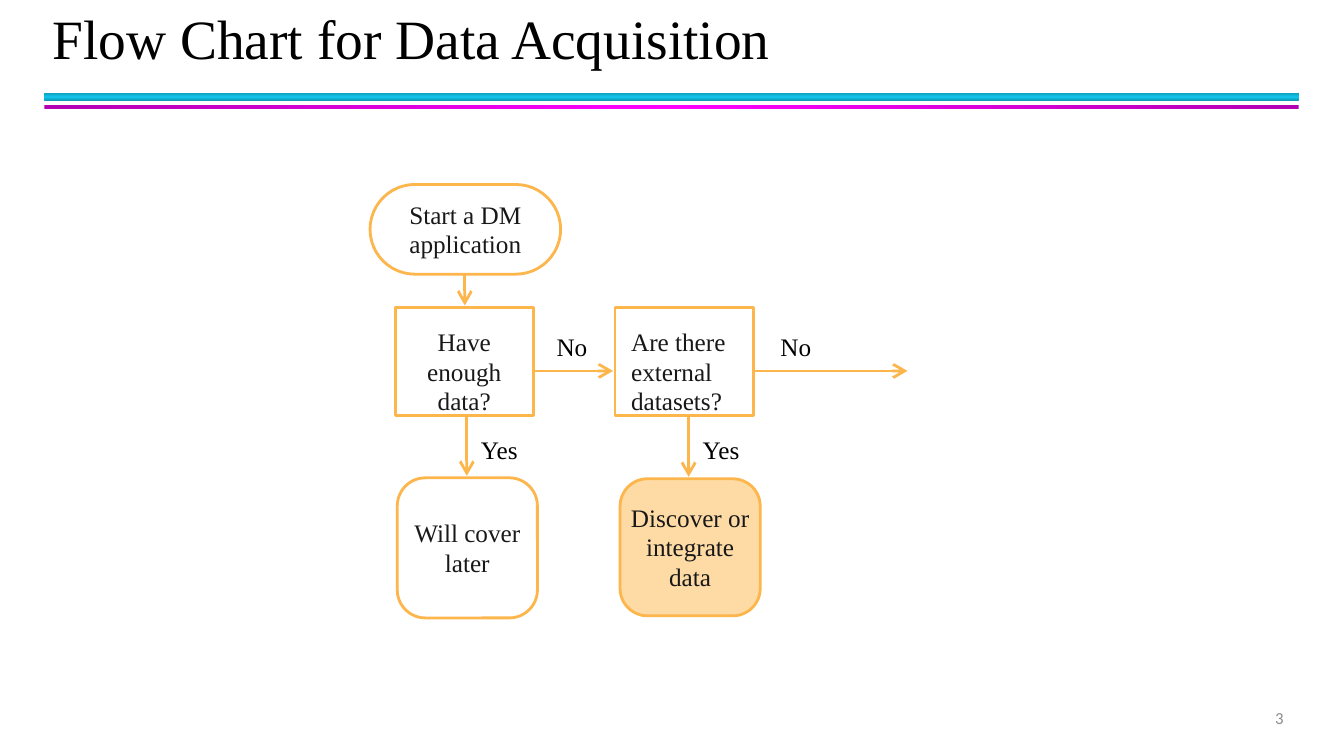
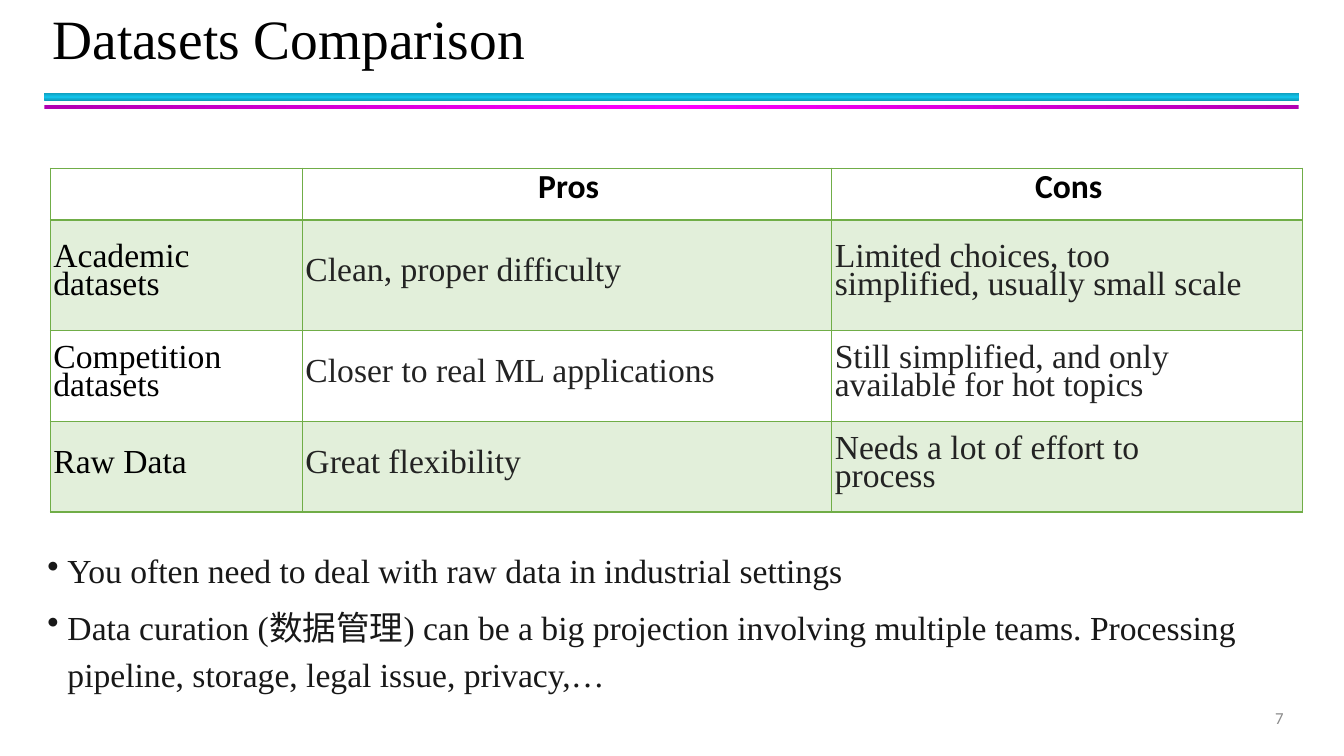
from copy import deepcopy

from lxml.etree import SubElement
from pptx import Presentation
from pptx.dml.color import RGBColor
from pptx.enum.shapes import MSO_CONNECTOR as Connector, MSO_SHAPE as Preset
from pptx.enum.text import MSO_ANCHOR as Anchor, PP_ALIGN as Align
from pptx.oxml.ns import qn
from pptx.util import Inches, Pt

COLORS = {
    "black": "000000",
    "ink": "181818",
    "cell_ink": "232323",
    "page_number": "8C8C8C",
    "orange": "FCB64C",
    "pale_orange": "FEDBA5",
    "green": "70AD47",
    "pale_green": "E2EFDA",
    "teal": "0E9BBA",
    "cyan": "12C2E9",
    "purple": "B200B2",
    "magenta": "FF00FF",
}
SERIF, SANS = "Times New Roman", "Calibri"
FLOW_LINE = Pt(21)


def rgb(name):
    return RGBColor.from_string(COLORS[name])


def write_text(frame, text, size=18, font=SERIF, color="ink", bold=False,
               align=Align.LEFT, line_spacing=None, gap=0, bullet=None):
    """Write one paragraph per line of text; a vertical tab breaks a line."""
    for index, line in enumerate(text.split("\n")):
        para = frame.add_paragraph() if index else frame.paragraphs[0]
        para.text = line
        if bullet:
            add_bullet(para, bullet)
        para.alignment = align
        if line_spacing:
            para.line_spacing = line_spacing
        para.space_before = Pt(gap if index else 0)
        for span in para.runs:
            span.font.size = Pt(size)
            span.font.name = font
            span.font.bold = bold
            span.font.color.rgb = rgb(color)


def add_bullet(para, character):
    properties = para._p.get_or_add_pPr()
    properties.set("marL", str(Inches(0.21)))
    properties.set("indent", str(-Inches(0.2)))
    SubElement(properties, qn("a:buChar")).set("char", character)


def set_frame(frame, insets=(0, 0, 0, 0), anchor=Anchor.TOP):
    """Set wrapping, anchor and the left, top, right and bottom insets."""
    frame.word_wrap = True
    frame.vertical_anchor = anchor
    (frame.margin_left, frame.margin_top,
     frame.margin_right, frame.margin_bottom) = map(Inches, insets)


def add_text(page, text, left, top, width, height,
             insets=(0, 0, 0, 0), anchor=Anchor.TOP, **text_format):
    box = page.shapes.add_textbox(*map(Inches, (left, top, width, height)))
    set_frame(box.text_frame, insets, anchor)
    write_text(box.text_frame, text, **text_format)


def add_band(page, top, height, edge, middle, angle):
    band = page.shapes.add_shape(
        Preset.RECTANGLE, *map(Inches, (0.44, top, 12.44, height)))
    band.shadow.inherit = False
    band.line.fill.background()
    band.fill.gradient()
    band.fill.gradient_angle = angle
    stop_list = band.element.xpath(".//a:gsLst")[0]
    stop_list.append(deepcopy(stop_list[-1]))
    for stop, position, color in zip(
            band.fill.gradient_stops, (0, 0.5, 1), (edge, middle, edge)):
        stop.position = position
        stop.color.rgb = rgb(color)
    return band


def move_bands_to_layout(page):
    """Put the two title bands on the layout, so that every page shows them."""
    for band in (add_band(page, 0.92, 0.08, "teal", "cyan", 90),
                 add_band(page, 1.04, 0.04, "purple", "magenta", 0)):
        page.slide_layout.shapes.element.append(band.element)


def add_page(deck, title, number):
    page = deck.slides.add_slide(deck.slide_layouts[5])
    heading = page.shapes.title
    heading.left, heading.top, heading.width, heading.height = map(
        Inches, (0.42, 0.08, 12.42, 0.66))
    set_frame(heading.text_frame, (0.1, 0.05, 0.1, 0.05), Anchor.MIDDLE)
    write_text(heading.text_frame, title, size=39.6, color="black",
               line_spacing=0.9)
    add_text(page, number, 9.83, 6.92, 3, 0.4, insets=(0.1, 0.05, 0.1, 0.05),
             anchor=Anchor.MIDDLE, size=12, font=SANS, color="page_number",
             align=Align.RIGHT)
    return page


def add_node(page, preset, text, left, top, width, height, corner=None,
             fill=None, insets=(0, 0, 0, 0), align=Align.CENTER):
    node = page.shapes.add_shape(
        preset, *map(Inches, (left, top, width, height)))
    node.shadow.inherit = False
    if corner is not None:
        node.adjustments[0] = corner
    if fill:
        node.fill.solid()
        node.fill.fore_color.rgb = rgb(fill)
    else:
        node.fill.background()
    node.line.color.rgb = rgb("orange")
    node.line.width = Pt(2)
    set_frame(node.text_frame, insets, Anchor.MIDDLE)
    write_text(node.text_frame, text, align=align, line_spacing=FLOW_LINE)
    return node


def add_arrow(page, start_x, start_y, end_x, end_y):
    arrow = page.shapes.add_connector(
        Connector.STRAIGHT, *map(Inches, (start_x, start_y, end_x, end_y)))
    arrow.line.color.rgb = rgb("orange")
    arrow.line.width = Pt(2)
    head = SubElement(arrow.line._get_or_add_ln(), qn("a:tailEnd"))
    for key, value in (("type", "arrow"), ("w", "lg"), ("len", "lg")):
        head.set(key, value)
    SubElement(arrow.element.spPr, qn("a:effectLst"))


def set_borders(cell, header):
    properties = cell._tc.get_or_add_tcPr()
    for index, side in enumerate(("lnL", "lnR", "lnT", "lnB")):
        thick = header and side == "lnB"
        border = properties.makeelement(
            qn(f"a:{side}"), {"w": str(Pt(2 if thick else 1))})
        fill = SubElement(border, qn("a:solidFill"))
        SubElement(fill, qn("a:srgbClr")).set("val", COLORS["green"])
        properties.insert(index, border)


def add_comparison_table(page, rows, widths, heights):
    """Draw a table with a plain header row and every other row tinted."""
    table = page.shapes.add_table(
        len(rows), len(widths), Inches(0.5), Inches(1.67),
        Inches(sum(widths)), Inches(sum(heights))).table
    table.first_row = table.horz_banding = False
    for column, width in zip(table.columns, widths):
        column.width = Inches(width)
    for row_index, (texts, height) in enumerate(zip(rows, heights)):
        table.rows[row_index].height = Inches(height)
        header = row_index == 0
        for column_index, text in enumerate(texts):
            cell = table.cell(row_index, column_index)
            cell.margin_left = Inches(0.03)
            cell.margin_top = cell.margin_right = cell.margin_bottom = 0
            cell.vertical_anchor = Anchor.MIDDLE
            if row_index % 2:
                cell.fill.solid()
                cell.fill.fore_color.rgb = rgb("pale_green")
            else:
                cell.fill.background()
            set_borders(cell, header)
            write_text(
                cell.text_frame, text, size=24, bold=header,
                font=SANS if header else SERIF,
                color="black" if header or column_index == 0 else "cell_ink",
                align=Align.CENTER if header else Align.LEFT,
                line_spacing=Pt(20))


def build_flow_chart(deck):
    page = add_page(deck, "Flow Chart for Data Acquisition", "3")
    move_bands_to_layout(page)

    add_node(page, Preset.ROUNDED_RECTANGLE, "Start a DM\vapplication",
             3.67, 1.83, 1.89, 0.89, corner=0.5)
    add_node(page, Preset.RECTANGLE, "Have\venough\vdata?",
             3.92, 3.05, 1.37, 1.07, insets=(0, 0.2, 0, 0))
    add_node(page, Preset.RECTANGLE, "Are there\vexternal\vdatasets?",
             6.1, 3.05, 1.37, 1.07, insets=(0.16, 0.2, 0, 0),
             align=Align.LEFT)
    add_node(page, Preset.ROUNDED_RECTANGLE, "Will cover\vlater",
             3.94, 4.74, 1.39, 1.39, corner=0.2)
    add_node(page, Preset.ROUNDED_RECTANGLE, "Discover or\vintegrate\vdata",
             6.15, 4.75, 1.39, 1.36, corner=0.2, fill="pale_orange")

    for ends in ((4.61, 2.73, 4.61, 3.03), (4.63, 4.13, 4.63, 4.72),
                 (6.83, 4.13, 6.83, 4.73), (5.31, 3.68, 6.08, 3.68),
                 (7.49, 3.68, 9, 3.68)):
        add_arrow(page, *ends)
    for text, left, top in (("No", 5.52, 3.29), ("No", 7.74, 3.29),
                            ("Yes", 4.77, 4.31), ("Yes", 6.97, 4.31)):
        add_text(page, text, left, top, 0.43, 0.32, color="black")


def build_comparison(deck):
    page = add_page(deck, "Datasets Comparison", "7")
    add_comparison_table(
        page,
        rows=[
            ("", "Pros", "Cons"),
            ("Academic\vdatasets", "Clean, proper difficulty",
             "Limited choices, too\vsimplified, usually small scale"),
            ("Competition\vdatasets", "Closer to real ML applications",
             "Still simplified, and only\vavailable for hot topics"),
            ("Raw Data", "Great flexibility",
             "Needs a lot of effort to\vprocess"),
        ],
        widths=(2.5, 5.25, 4.67),
        heights=(0.51, 1.1, 0.9, 0.9))
    add_text(
        page,
        "You often need to deal with raw data in industrial settings\n"
        "Data curation (数据管理) can be a big projection involving multiple "
        "teams. Processing pipeline, storage, legal issue, privacy,…",
        0.46, 5.39, 12.5, 1.4, size=24, line_spacing=1.17, gap=6.7,
        bullet="•")


def main():
    deck = Presentation()
    deck.slide_width, deck.slide_height = Inches(13.33), Inches(7.5)
    build_flow_chart(deck)
    build_comparison(deck)
    deck.save("out.pptx")


if __name__ == "__main__":
    main()
